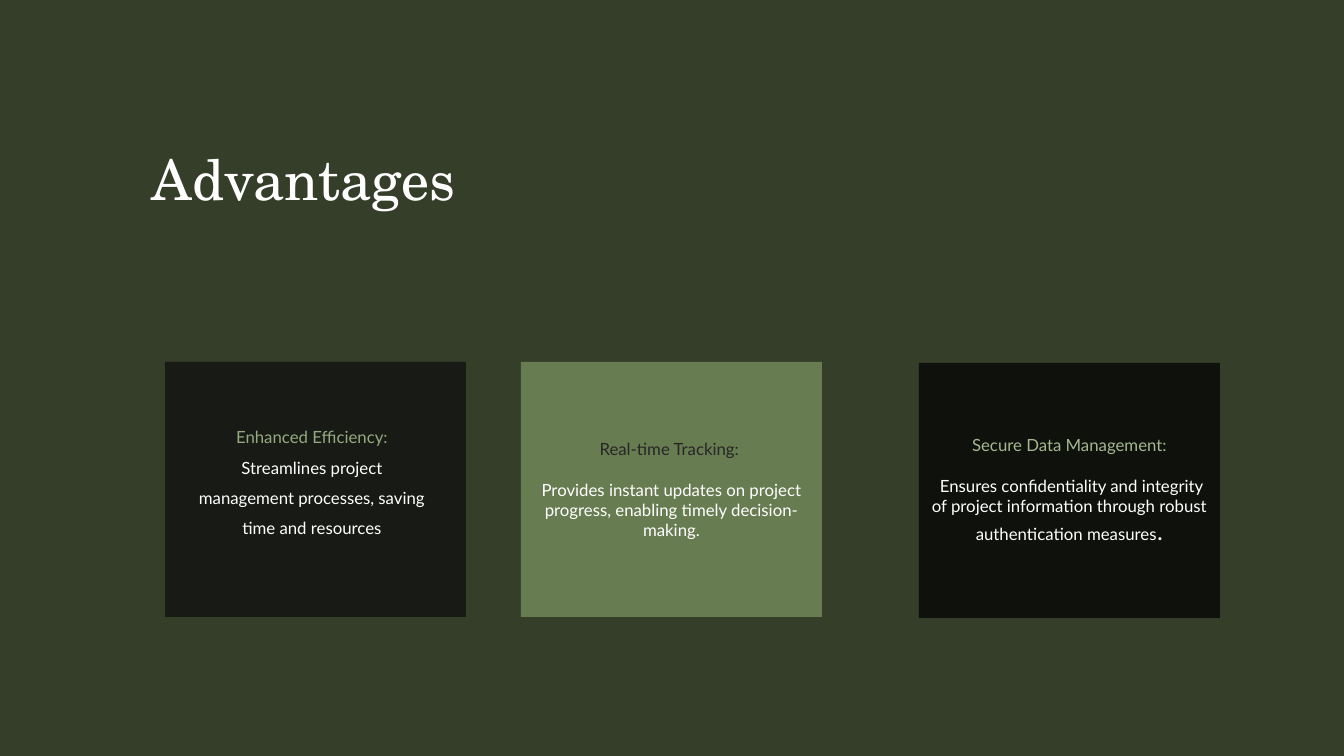
from lxml import etree
from pptx import Presentation
from pptx.dml.color import RGBColor
from pptx.enum.shapes import MSO_SHAPE
from pptx.enum.text import MSO_ANCHOR, PP_ALIGN
from pptx.oxml.ns import qn
from pptx.util import Emu, Pt

RECT = MSO_SHAPE.RECTANGLE
MIDDLE = MSO_ANCHOR.MIDDLE
TOP = MSO_ANCHOR.TOP
CENTER = PP_ALIGN.CENTER

WHITE = RGBColor(0xFF, 0xFF, 0xFF)
BLACK = RGBColor(0x00, 0x00, 0x00)
CHARCOAL = RGBColor(0x0D, 0x0D, 0x0D)
INK = RGBColor(0x26, 0x26, 0x26)
OLIVE = RGBColor(0x34, 0x3E, 0x29)
GREEN = RGBColor(0x68, 0x7C, 0x51)
SAGE = RGBColor(0x95, 0xAA, 0x80)
PALE_SAGE = RGBColor(0xA5, 0xB7, 0x90)

SLIDE_W, SLIDE_H = 1344, 756
CARD_W, CARD_H = 301, 255


def px(n):
    return Emu(round(n * 12192000 / SLIDE_W))


def add_run(p, text, color, size=12, font="Lato"):
    r = p.add_run()
    r.text = text
    r.font.size = Pt(size)
    r.font.name = font
    r.font.color.rgb = color


def add_text(slide, x, y, w, h, anchor):
    tf = slide.shapes.add_textbox(px(x), px(y), px(w), px(h)).text_frame
    tf.word_wrap = True
    tf.vertical_anchor = anchor
    tf.margin_left = tf.margin_right = tf.margin_top = tf.margin_bottom = 0
    return tf.paragraphs[0]


def add_title(slide, x, y, w, h):
    p = add_text(slide, x, y, w, h, MIDDLE)
    p.line_spacing = Pt(44)
    add_run(p, "Advantages", WHITE, 40, "TeX Gyre Schola")


def add_card(slide, x, y, fill, alpha=100):
    sp = slide.shapes.add_shape(RECT, px(x), px(y), px(CARD_W), px(CARD_H))
    sp.shadow.inherit = False
    sp.line.fill.background()
    sp.fill.solid()
    sp.fill.fore_color.rgb = fill
    if alpha < 100:
        clr = sp.fill._xPr.find(qn("a:solidFill"))[0]
        etree.SubElement(clr, qn("a:alpha")).set("val", str(alpha * 1000))
    return sp


def add_efficiency_card(slide, x, y):
    add_card(slide, x, y, CHARCOAL, 70)
    p = add_text(slide, x + 32, y + 55, 230, 118, TOP)
    p.alignment = CENTER
    p.line_spacing = 1.5
    add_run(p, "Enhanced Efficiency: ", SAGE)
    add_run(p, "Streamlines project management processes, saving time and resources", WHITE)


def add_text_card(slide, x, y, fill, alpha, heading, heading_color, body):
    tf = add_card(slide, x, y, fill, alpha).text_frame
    tf.word_wrap = True
    tf.vertical_anchor = MIDDLE
    p = tf.paragraphs[0]
    p.alignment = CENTER
    add_run(p, heading, heading_color)
    p = tf.add_paragraph()
    p.alignment = CENTER
    p.space_before = Pt(14.4)
    add_run(p, body, WHITE)
    return p


def build_advantages(slide):
    slide.background.fill.solid()
    slide.background.fill.fore_color.rgb = OLIVE
    add_title(slide, 152, 150, 470, 62)
    add_efficiency_card(slide, 165, 362)
    add_text_card(
        slide, 521, 362, GREEN, 100, "Real-time Tracking: ", INK,
        "Provides instant updates on project progress, enabling timely decision-making.")
    p = add_text_card(
        slide, 919, 363, BLACK, 70, "Secure Data Management:", PALE_SAGE,
        " Ensures confidentiality and integrity of project information "
        "through robust authentication measures")
    add_run(p, ".", WHITE, 18, "Calibri")


def main():
    prs = Presentation()
    prs.slide_width = px(SLIDE_W)
    prs.slide_height = px(SLIDE_H)
    build_advantages(prs.slides.add_slide(prs.slide_layouts[6]))
    prs.save("out.pptx")


if __name__ == "__main__":
    main()
